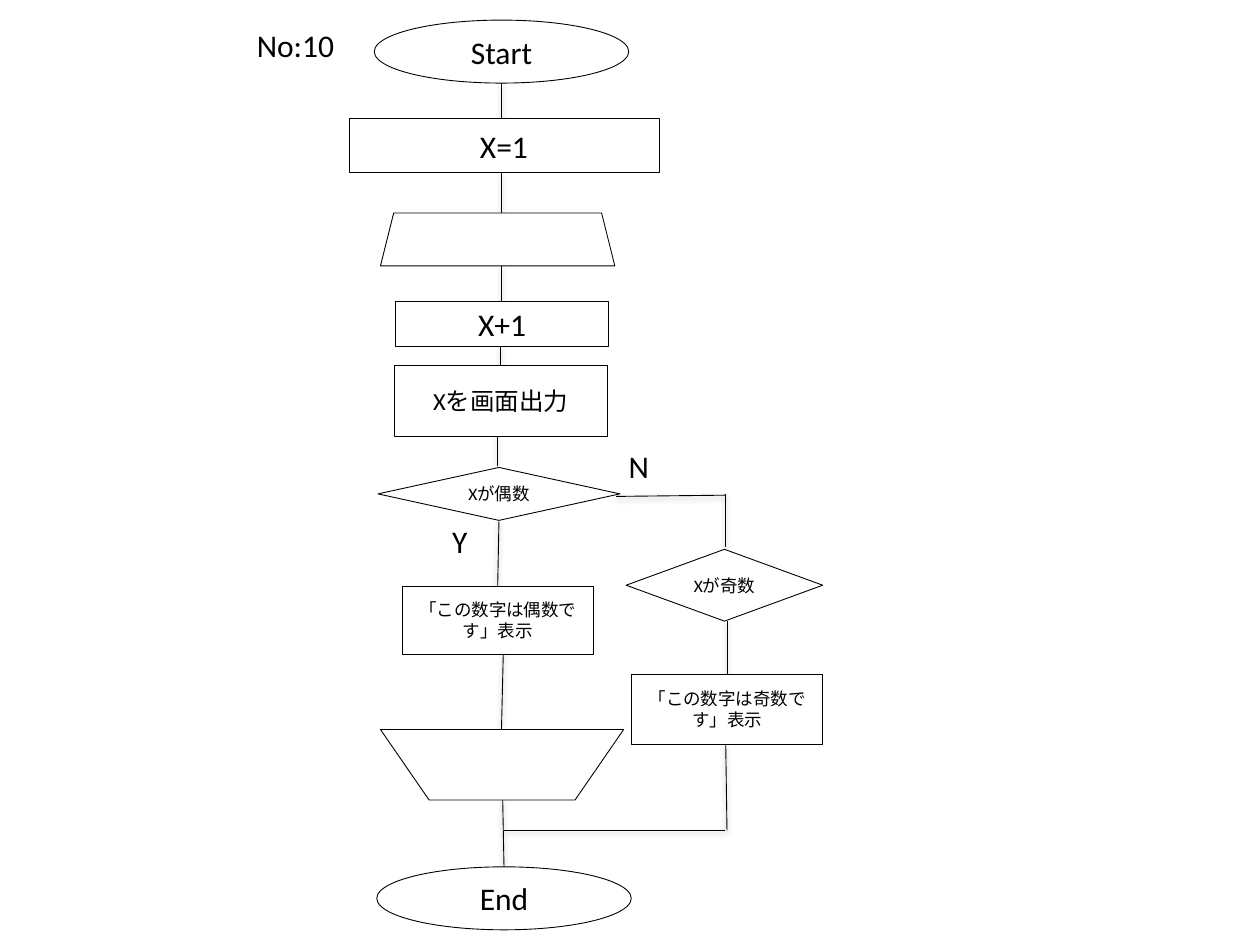
from pptx import Presentation
from pptx.dml.color import RGBColor
from pptx.enum.shapes import MSO_CONNECTOR, MSO_SHAPE
from pptx.enum.text import MSO_ANCHOR, MSO_AUTO_SIZE, PP_ALIGN
from pptx.util import Inches, Pt

BLACK = RGBColor(0x00, 0x00, 0x00)
WHITE = RGBColor(0xFF, 0xFF, 0xFF)
OVAL = MSO_SHAPE.OVAL
RECT = MSO_SHAPE.RECTANGLE
DECISION = MSO_SHAPE.FLOWCHART_DECISION
LOOP_START = MSO_SHAPE.TRAPEZOID
LOOP_END = MSO_SHAPE.FLOWCHART_MANUAL_OPERATION
STRAIGHT = MSO_CONNECTOR.STRAIGHT
CENTER, MIDDLE = PP_ALIGN.CENTER, MSO_ANCHOR.MIDDLE
FIT_SHAPE = MSO_AUTO_SIZE.SHAPE_TO_FIT_TEXT

COLS, ROWS = 100, 75
CELL = Inches(0.1)

LARGE, MEDIUM, SMALL = 18, 14, 10
THIN, HAIRLINE = 0.5, 0.25


def grid(*cells):
    """Turn grid columns and rows into slide lengths."""
    return [round(c * CELL) for c in cells]


class Flowchart:
    """Holds the slide and the shared style of the flowchart."""

    font = {"name": "Calibri"}

    def __init__(self, prs):
        self.shapes = prs.slides.add_slide(prs.slide_layouts[6]).shapes

    def add_text(self, tf, text, size):
        p = tf.paragraphs[0]
        r = p.add_run()
        r.text = text
        for name, value in {**self.font, "size": Pt(size)}.items():
            setattr(r.font, name, value)
        r.font.color.rgb = BLACK
        return p

    def node(self, kind, left, top, width, height, text="", size=LARGE):
        s = self.shapes.add_shape(kind, *grid(left, top, width, height))
        s.shadow.inherit = False
        s.fill.solid()
        s.fill.fore_color.rgb = WHITE
        s.line.color.rgb = BLACK
        s.line.width = Pt(HAIRLINE if kind == RECT else THIN)
        if text:
            s.text_frame.vertical_anchor = MIDDLE
            self.add_text(s.text_frame, text, size).alignment = CENTER

    def label(self, left, top, width, text, wrap=True):
        tf = self.shapes.add_textbox(*grid(left, top, width, 4)).text_frame
        tf.word_wrap = wrap
        tf.auto_size = FIT_SHAPE
        self.add_text(tf, text, LARGE)

    def link(self, x1, y1, x2, y2):
        """Draw a line that keeps the soft shadow of the theme."""
        c = self.shapes.add_connector(STRAIGHT, *grid(x1, y1, x2, y2))
        c.line.color.rgb = BLACK
        c.line.width = Pt(THIN)


LINKS = [
    # main flow
    (39.8, 6.6, 39.8, 9.4),
    (39.8, 13.7, 39.8, 16.9),
    (39.8, 21.1, 39.8, 24.2),
    (39.7, 27.2, 39.7, 29),
    (39.5, 34.6, 39.5, 37),
    (39.6, 41.4, 39.5, 46.5),
    (40, 49.5, 39.8, 57.9),
    (39.9, 63.5, 40, 68.8),
    # odd branch
    (48.9, 39.4, 57.6, 39.3),
    (57.6, 39.2, 57.6, 43.4),
    (57.7, 49.3, 57.7, 53.5),
    (57.6, 59.1, 57.7, 65.9),
    (40, 65.9, 57.5, 65.9),
]

NODES = [
    (OVAL, 29.7, 1.6, 20.2, 5, "Start"),
    (RECT, 27.7, 9.4, 24.6, 4.3, "X=1"),
    (LOOP_START, 30.2, 16.9, 18.6, 4.2),
    (RECT, 31.4, 23.9, 16.9, 3.6, "X+1"),
    (RECT, 31.3, 29, 16.9, 5.6, "Xを画面出力", MEDIUM),
    (DECISION, 30, 37.1, 19.2, 4.2, "Xが偶数", SMALL),
    (RECT, 31.9, 46.5, 15.2, 5.4, "「この数字は偶数です」表示", SMALL),
    (DECISION, 49.7, 43.6, 15.6, 5.7, "Xが奇数", SMALL),
    (RECT, 50.1, 53.5, 15.2, 5.6, "「この数字は奇数です」表示", SMALL),
    (LOOP_END, 30.2, 57.9, 19.3, 5.6),
    (OVAL, 29.9, 68.8, 20.2, 5, "End"),
]

LABELS = [
    (19.4, 1.6, 8.6, "No:10"),
    (34.9, 40.9, 4, "Y"),
    (48.9, 35, 3.6, "N", False),
]


def main():
    prs = Presentation()
    prs.slide_width, prs.slide_height = grid(COLS, ROWS)
    chart = Flowchart(prs)
    for draw, items in (
        (chart.link, LINKS),
        (chart.node, NODES),
        (chart.label, LABELS),
    ):
        for item in items:
            draw(*item)
    prs.save("out.pptx")


if __name__ == "__main__":
    main()
